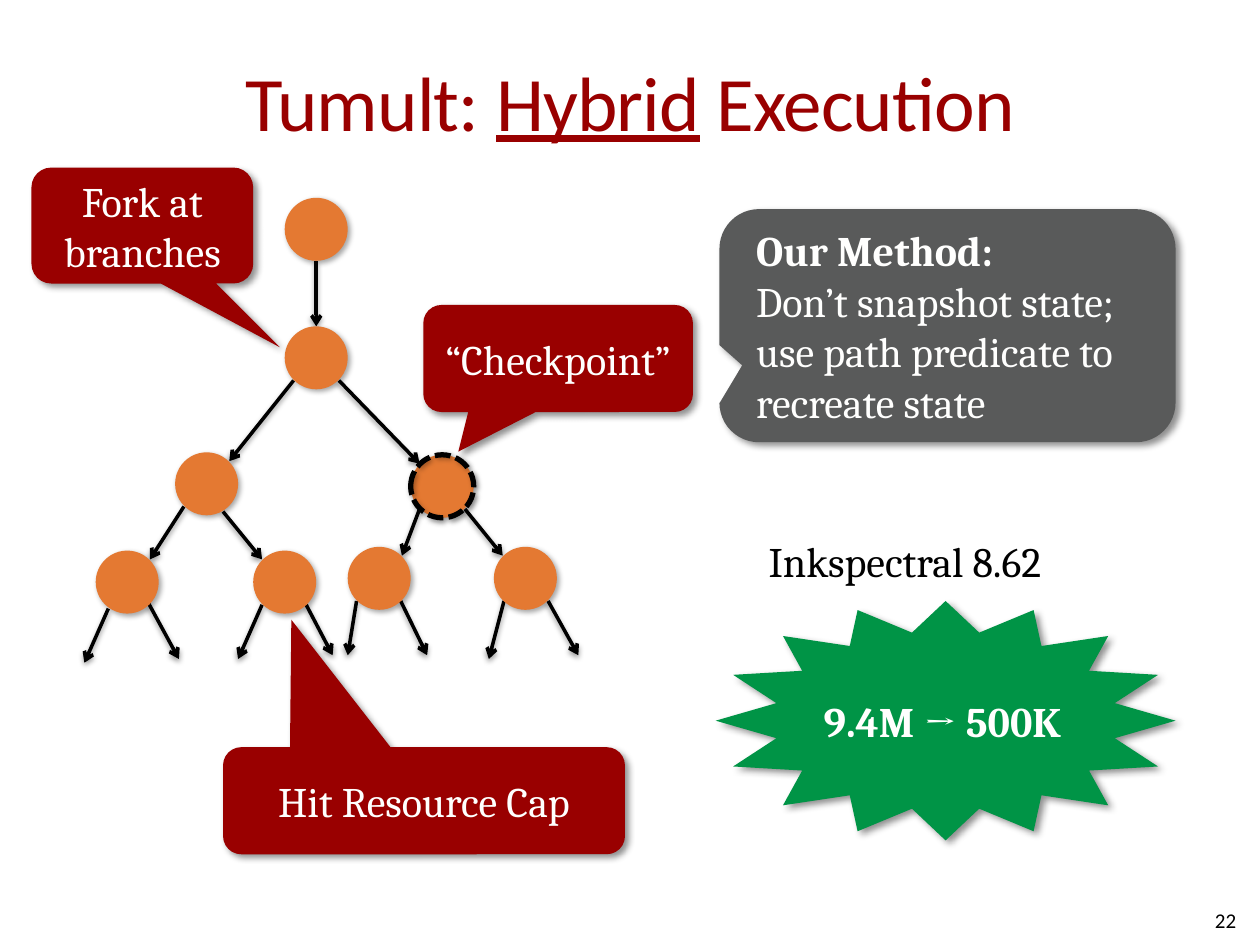
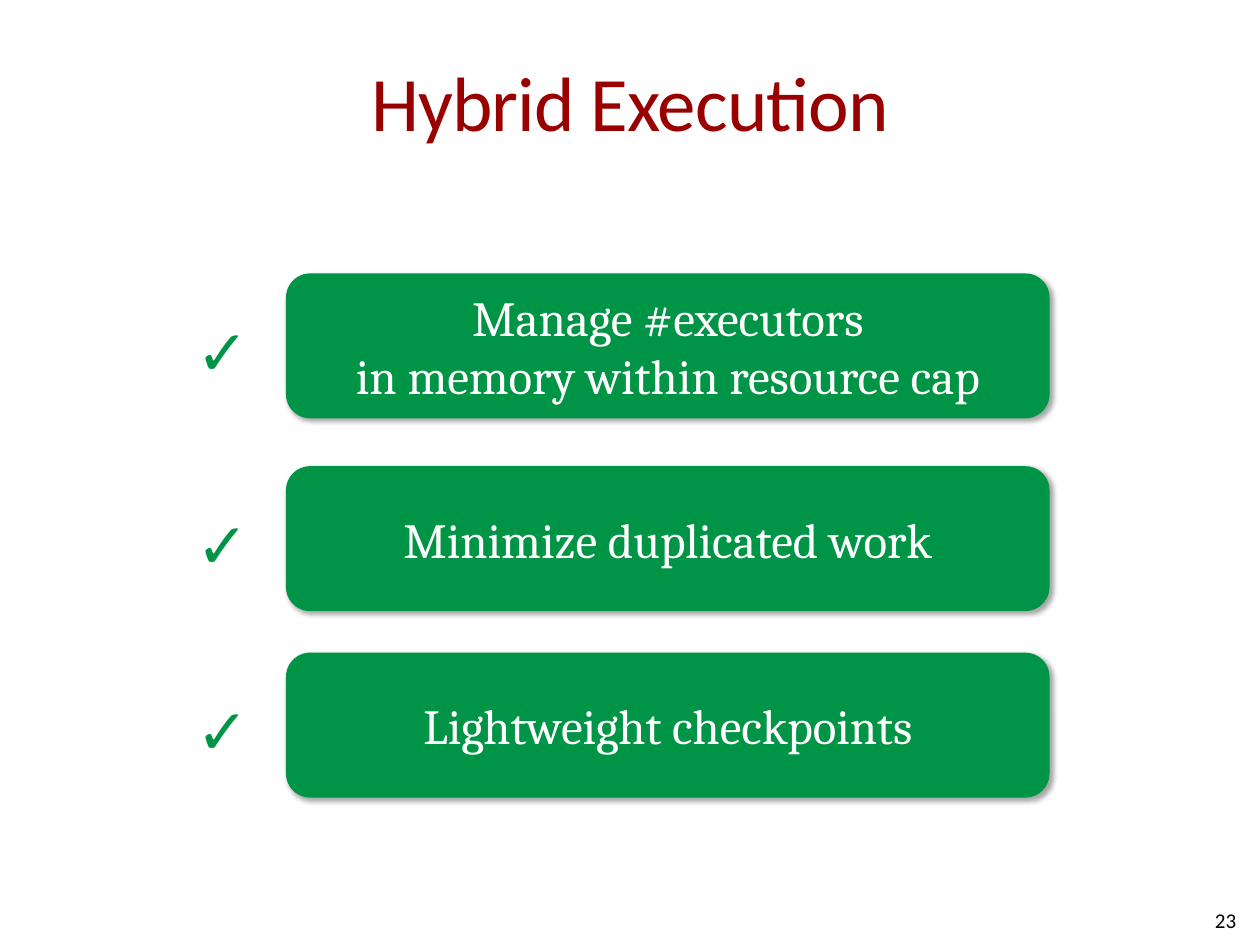
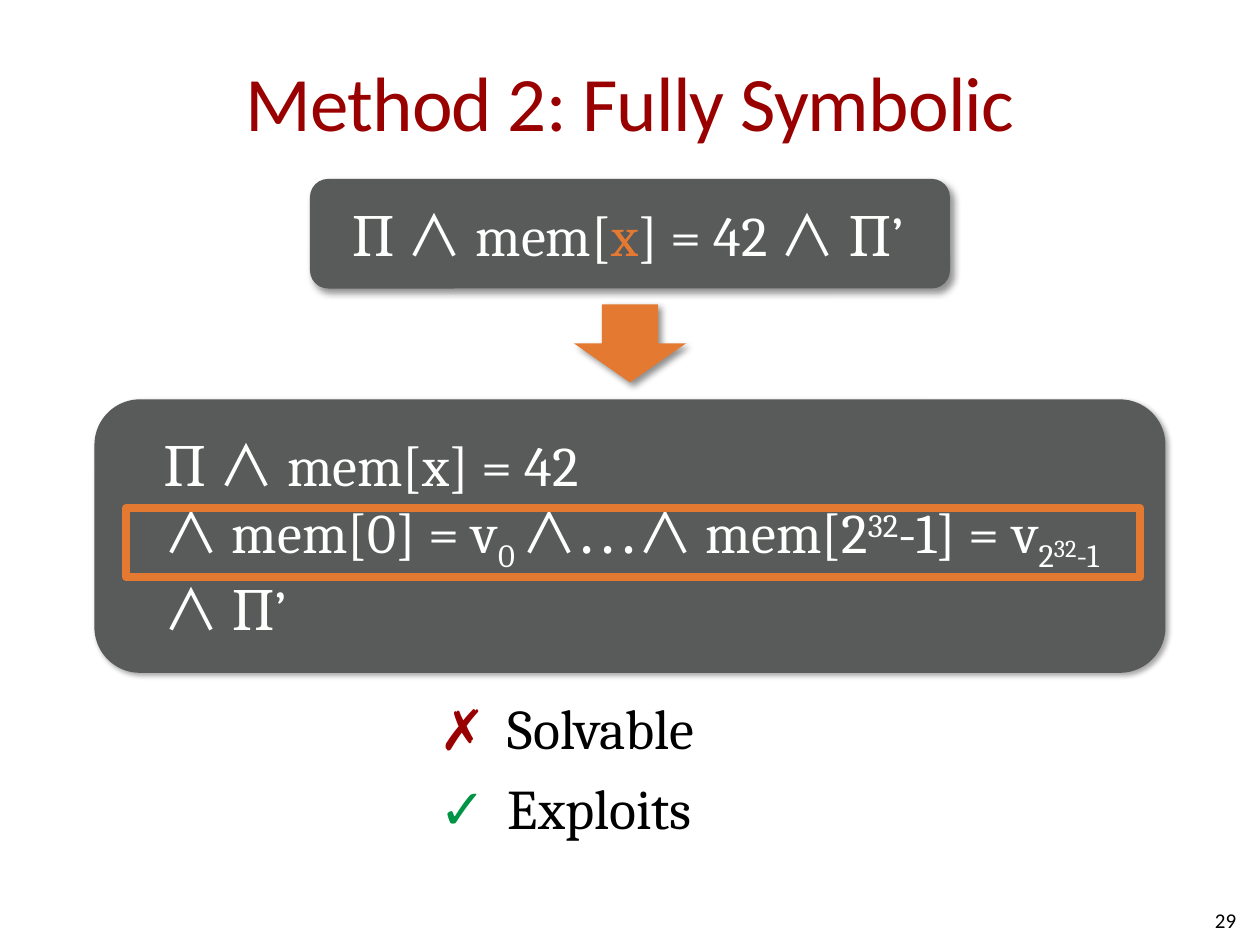
from lxml import etree
from pptx import Presentation
from pptx.dml.color import RGBColor
from pptx.enum.dml import MSO_LINE
from pptx.enum.shapes import MSO_CONNECTOR, MSO_SHAPE
from pptx.enum.text import MSO_ANCHOR, PP_ALIGN
from pptx.oxml.ns import qn
from pptx.util import Emu, Pt

SCALE = 9144
RED, GREEN, ORANGE = "990000", "009446", "E47932"
GRAY, BLACK, WHITE = "595A5A", "000000", "FFFFFE"
HEADING, BODY, MARK, MATH = "Calibri", "Cambria", "Arial", "Noto Sans CJK JP"
LEFT, CENTER, RIGHT = PP_ALIGN.LEFT, PP_ALIGN.CENTER, PP_ALIGN.RIGHT
TOP, MIDDLE = MSO_ANCHOR.TOP, MSO_ANCHOR.MIDDLE
CALLOUT = MSO_SHAPE.ROUNDED_RECTANGULAR_CALLOUT
ROUNDED, OVAL, STAR = MSO_SHAPE.ROUNDED_RECTANGLE, MSO_SHAPE.OVAL, MSO_SHAPE.STAR_16_POINT
RECTANGLE, ARROW = MSO_SHAPE.RECTANGLE, MSO_SHAPE.RIGHT_ARROW
DASHED, STRAIGHT = MSO_LINE.SQUARE_DOT, MSO_CONNECTOR.STRAIGHT

STRONG_SHADOW = (43, 4, 3, 45)
SOFT_SHADOW = (35, 3.1, 1.8, 45)
LINE_SHADOW = (38, 3.1, 1.6, 90)
INSETS = (10, 5, 10, 5)
NODE = 50
REACH = 18


def px(length):
    return Emu(length * SCALE)


def color(value):
    return RGBColor.from_string(value)


def add_shadow(shape, shadow):
    alpha, blur, distance, angle = shadow
    properties = shape.element.spPr
    effects = properties.find(qn("a:effectLst"))
    if effects is None:
        effects = etree.SubElement(properties, qn("a:effectLst"))
    outer = etree.SubElement(
        effects, qn("a:outerShdw"), blurRad=str(Pt(blur)), dist=str(Pt(distance)),
        dir=str(angle * 60000), algn="tl", rotWithShape="0")
    tint = etree.SubElement(outer, qn("a:srgbClr"), val=BLACK)
    etree.SubElement(tint, qn("a:alpha"), val=str(alpha * 1000))


def add_span(para, text, size=24, font=BODY, tone=WHITE, bold=False,
             underline=False, spacing=0, baseline=0):
    for index, piece in enumerate(text.split("\n")):
        if index:
            para.add_line_break()
        if not piece:
            continue
        span = para.add_run()
        span.text = piece
        span.font.size = Pt(size)
        span.font.bold = bold
        span.font.underline = underline
        span.font.color.rgb = color(tone)
        span.font.name = font
        properties = span._r.get_or_add_rPr()
        etree.SubElement(properties, qn("a:ea"), typeface=font)
        if spacing:
            properties.set("spc", str(spacing))
        if baseline:
            properties.set("baseline", str(baseline * 1000))


def write(frame, spans, align=LEFT, anchor=MIDDLE, insets=INSETS, wrap=True, **style):
    frame.word_wrap = wrap
    frame.vertical_anchor = anchor
    frame.margin_left, frame.margin_top, frame.margin_right, frame.margin_bottom = map(px, insets)
    para = frame.paragraphs[0]
    para.alignment = align
    for text, changes in spans:
        add_span(para, text, **{**style, **changes})


def add_text(page, bounds, spans, **style):
    box = page.shapes.add_textbox(*map(px, bounds))
    write(box.text_frame, spans, **style)


def add_figure(page, kind, bounds, fill=None, shadow=None, adjust=()):
    shape = page.shapes.add_shape(kind, *map(px, bounds))
    shape.shadow.inherit = False
    if fill:
        shape.fill.solid()
        shape.fill.fore_color.rgb = color(fill)
    else:
        shape.fill.background()
    shape.line.fill.background()
    for index, value in enumerate(adjust):
        shape.adjustments[index] = value
    if shadow:
        add_shadow(shape, shadow)
    return shape


def outline(shape, tone, width):
    shape.line.color.rgb = color(tone)
    shape.line.width = Pt(width)


def add_callout(page, bounds, fill, tip, spans, **style):
    shape = add_figure(page, CALLOUT, bounds, fill, STRONG_SHADOW, (*tip, 0.17))
    write(shape.text_frame, spans, **style)


def add_arrow(page, start, end):
    arrow = page.shapes.add_connector(STRAIGHT, *map(px, (*start, *end)))
    outline(arrow, BLACK, 2)
    etree.SubElement(arrow.element.spPr.find(qn("a:ln")), qn("a:tailEnd"), type="arrow")
    add_shadow(arrow, LINE_SHADOW)


def add_branch(page, parent, child):
    (left, top), (child_left, child_top) = parent, child
    half = NODE // 2
    side = REACH if child_left > left else -REACH
    add_arrow(page, (left + half + side, top + half + REACH),
              (child_left + half - side, child_top + half - REACH))


def add_page(deck, title, number):
    page = deck.slides.add_slide(deck.slide_layouts[6])
    add_text(page, (50, 17, 900, 125), title, align=CENTER, insets=(0, 5, 0, 5),
             size=44, font=HEADING, tone=RED, spacing=-50)
    add_text(page, (758, 710, 233, 40), [(number, {})], align=RIGHT,
             size=12, font=HEADING, tone=BLACK)
    return page


def add_tree(page):
    root, fork = (226, 157), (226, 259)
    left, right = (139, 359), (326, 361)
    leaves = [(76, 437), (201, 437), (276, 434), (392, 434)]
    for parent, child in [(fork, left), (fork, right), (left, leaves[0]),
                          (right, leaves[2]), (right, leaves[3])]:
        add_branch(page, parent, child)
    loose_arrows = [
        ((251, 207), (251, 259)), ((177, 406), (208, 444)),
        ((86, 483), (67, 526)), ((118, 479), (142, 523)),
        ((208, 480), (189, 523)), ((243, 480), (264, 520)),
        ((283, 477), (276, 520)), ((318, 477), (339, 520)),
        ((400, 477), (388, 523)), ((435, 477), (459, 520)),
    ]
    for start, end in loose_arrows:
        add_arrow(page, start, end)
    for node in [root, fork, left, right, *leaves]:
        add_figure(page, OVAL, (*node, NODE, NODE), ORANGE, SOFT_SHADOW)
    ring = add_figure(page, OVAL, (*right, NODE, NODE), shadow=SOFT_SHADOW)
    outline(ring, BLACK, 3)
    ring.line.dash_style = DASHED


def build_tree_page(deck):
    page = add_page(deck, [("Tumult: ", {}), ("Hybrid", {"underline": True}),
                           (" Execution", {})], "22")
    add_callout(page, (571, 166, 362, 185), GRAY, (-0.45, 0.17),
                [("Our Method:\n", {"bold": True}),
                 ("Don’t snapshot state; use path predicate to recreate state", {})],
                insets=(20, 5, 10, 5))
    add_tree(page)
    star = add_figure(page, STAR, (568, 477, 365, 190), GREEN, STRONG_SHADOW)
    write(star.text_frame, [("9.4M → 500K", {})], insets=(0, 5, 20, 5), wrap=False, bold=True)
    for text, bounds, tip in [
        ("Hit Resource Cap", (177, 593, 319, 85), (-0.33, -1.69)),
        ("Fork at branches", (25, 133, 176, 92), (0.62, 1.05)),
        ("“Checkpoint”", (336, 242, 214, 85), (-0.37, 0.87)),
    ]:
        add_callout(page, bounds, RED, tip, [(text, {})], align=CENTER)
    add_text(page, (610, 425, 236, 40), [("Inkspectral 8.62", {})], anchor=TOP,
             insets=(0, 0, 0, 0), tone=BLACK)


def build_goals_page(deck):
    page = add_page(deck, [("Hybrid Execution", {})], "23")
    for top, goal in [(217, "Manage #executors\nin memory within resource cap"),
                      (370, "Minimize duplicated work"),
                      (518, "Lightweight checkpoints")]:
        card = add_figure(page, ROUNDED, (227, top, 606, 115), GREEN, SOFT_SHADOW)
        write(card.text_frame, [(goal, {})], align=CENTER, size=28)
        add_text(page, (146, top + 26, 79, 64), [("✓", {})], anchor=TOP,
                 size=36, font=MARK, tone=GREEN)


def add_verdicts(page, verdicts):
    table = page.shapes.add_table(len(verdicts), 2, *map(px, (339, 550, 323, 122))).table
    table.first_row = False
    table.horz_banding = False
    for column, width in zip(table.columns, (54, 269)):
        column.width = px(width)
    for row, (mark, tone, label) in enumerate(verdicts):
        for column, (text, font, ink) in enumerate([(mark, MARK, tone), (label, BODY, BLACK)]):
            cell = table.cell(row, column)
            cell.fill.background()
            add_span(cell.text_frame.paragraphs[0], text, size=32, font=font, tone=ink)


def build_formula_page(deck):
    page = add_page(deck, [("Method 2: Fully Symbolic", {})], "29")
    conjunction = ("∧ ", {"font": MATH})
    query = add_figure(page, ROUNDED, (246, 142, 508, 87), GRAY, STRONG_SHADOW)
    write(query.text_frame,
          [("Π ", {}), conjunction, ("mem[", {}), ("x", {"tone": ORANGE}),
           ("] = 42 ", {}), conjunction, ("Π’", {})],
          insets=(29, 5, 10, 5), size=32)
    arrow = add_figure(page, ARROW, (469, 228, 62, 89), ORANGE, STRONG_SHADOW)
    arrow.rotation = 90
    add_verdicts(page, [("✗", RED, "Solvable"), ("✓", GREEN, "Exploits")])
    expansion = add_figure(page, ROUNDED, (75, 317, 850, 217), GRAY, SOFT_SHADOW)
    write(expansion.text_frame,
          [("Π ", {}), conjunction, ("mem[x] = 42\n", {}),
           conjunction, ("mem[0] = v", {}), ("0 ", {"baseline": -25}),
           ("∧…∧ ", {"font": MATH}), ("mem[2", {}), ("32", {"baseline": 30}),
           ("-1] = v", {}), ("2", {"baseline": -25}),
           ("32", {"size": 24, "baseline": -9}), ("-1\n", {"baseline": -25}),
           conjunction, ("Π’", {})],
          insets=(44, 5, 10, 5), size=32)
    highlight = add_figure(page, RECTANGLE, (100, 403, 805, 55))
    outline(highlight, ORANGE, 4.5)


def main():
    deck = Presentation()
    deck.slide_width, deck.slide_height = px(1000), px(750)
    build_tree_page(deck)
    build_goals_page(deck)
    build_formula_page(deck)
    deck.save("out.pptx")


if __name__ == "__main__":
    main()
